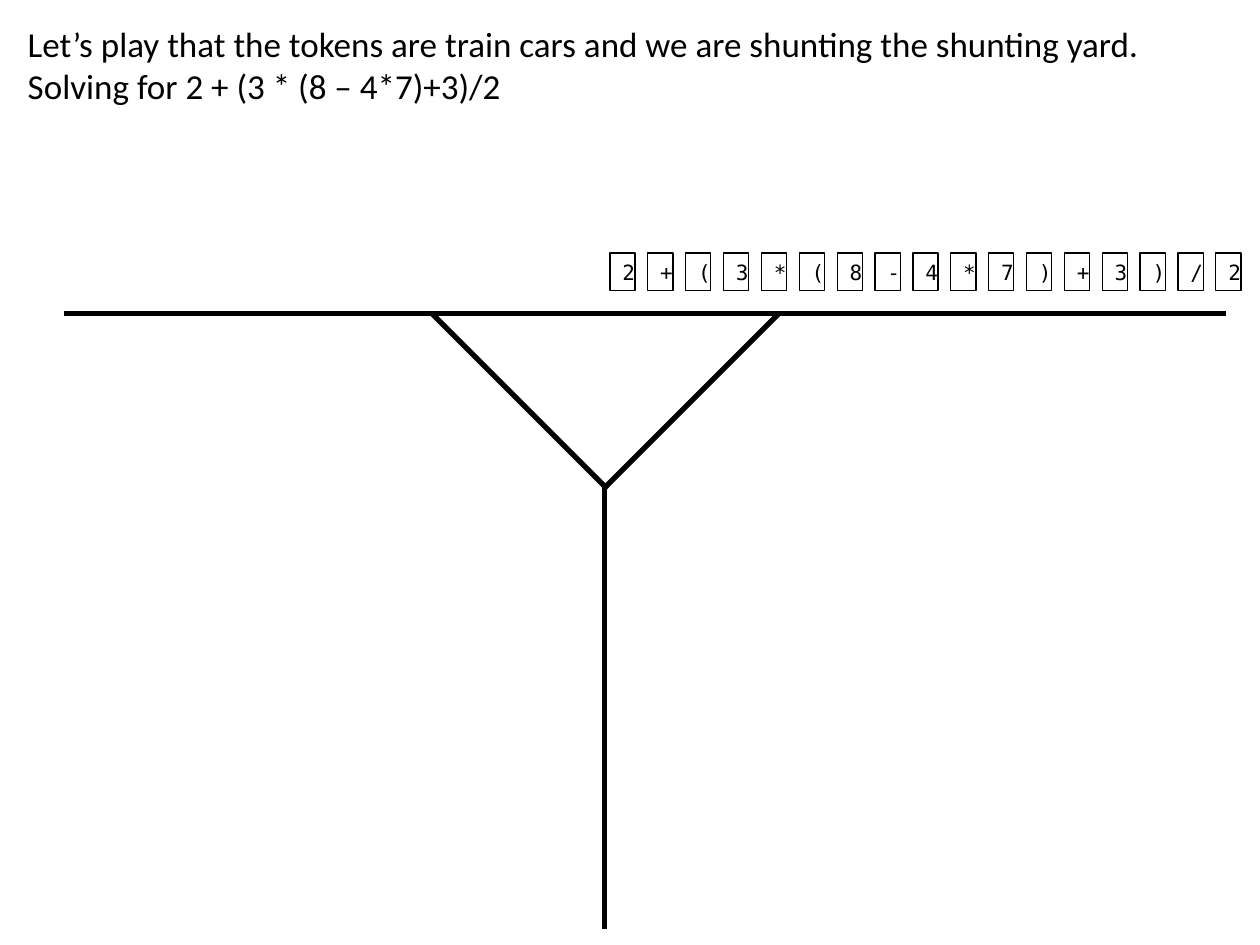
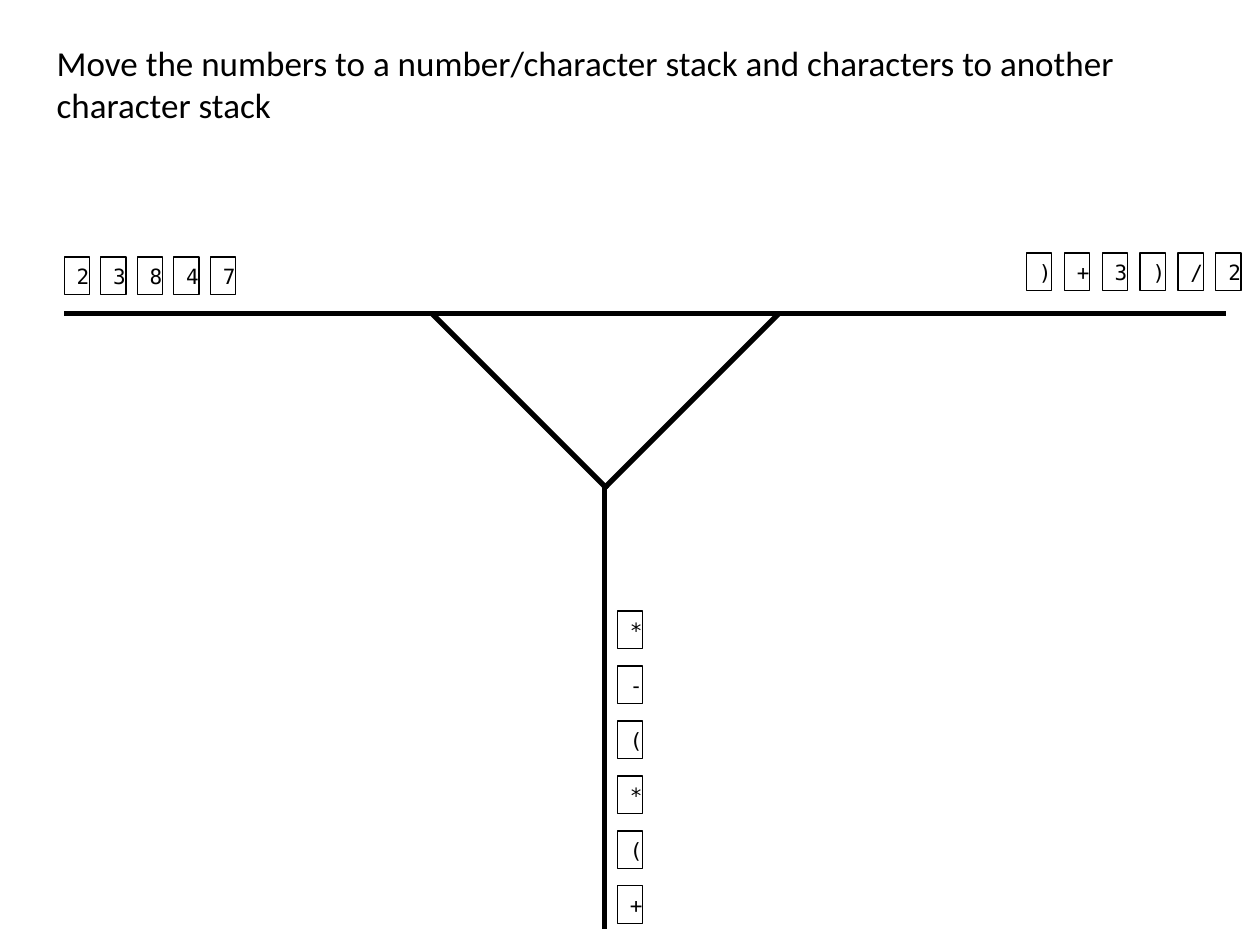
from lxml.etree import SubElement
from pptx import Presentation
from pptx.dml.color import RGBColor
from pptx.enum.shapes import MSO_CONNECTOR as Connector, MSO_SHAPE as Preset
from pptx.enum.text import MSO_ANCHOR as Anchor, MSO_AUTO_SIZE as AutoSize, PP_ALIGN as Align
from pptx.oxml.ns import qn
from pptx.util import Pt

SLIDES = [
    {
        "title": "Let’s play that the tokens are train cars and we are shunting "
                 "the shunting yard. Solving for 2 + (3 * (8 – 4*7)+3)/2",
        "title_box": (8.64, 9.36, 693.36, 55.44),
        "incoming": "2+(3*(8-4*7)+3)/2",
        "numbers": "",
        "operators": "",
    },
    {
        "title": "Move the numbers to a number/character stack and characters "
                 "to another character stack",
        "title_box": (25.2, 20.16, 668.88, 55.44),
        "incoming": ")+3)/2",
        "numbers": "23847",
        "operators": "+(*(-*",
    },
]

COLORS = {"ink": "000000", "background": "FFFFFF"}
FONTS = {"title": "Calibri", "token": "DejaVu Sans Mono"}

TRACKS = [
    (700.56, 179.28, 36.72, 179.28),
    (246.96, 179.28, 347.04, 279.36),
    (444.96, 179.28, 344.88, 279.36),
    (345.6, 275.76, 345.6, 530.64),
]

CAR_WIDTH, CAR_HEIGHT = 14.4, 21.6
INCOMING_END, INCOMING_TOP, INCOMING_STEP = 694.8, 144.6, 21.64
NUMBERS_LEFT, NUMBERS_TOP, NUMBERS_STEP = 36.72, 146.88, 20.88
OPERATORS_LEFT, OPERATORS_BOTTOM, OPERATORS_STEP = 352.8, 506.2, 31.4


def color(name):
    return RGBColor.from_string(COLORS[name])


def style_text(shape, font_name, size, alignment):
    frame = shape.text_frame
    frame.word_wrap = True
    frame.auto_size = AutoSize.SHAPE_TO_FIT_TEXT
    frame.vertical_anchor = Anchor.TOP
    frame.margin_left = frame.margin_right = Pt(7.2)
    frame.margin_top = frame.margin_bottom = Pt(3.6)
    for paragraph in frame.paragraphs:
        paragraph.alignment = alignment
        for run in paragraph.runs:
            run.font.name = font_name
            run.font.size = Pt(size)
            run.font.color.rgb = color("ink")


def add_title(slide, text, box):
    title = slide.shapes.title
    title.left, title.top, title.width, title.height = map(Pt, box)
    title.text_frame.text = text
    style_text(title, FONTS["title"], 20, Align.LEFT)


def add_track(slide, ends):
    track = slide.shapes.add_connector(Connector.STRAIGHT, *map(Pt, ends))
    track.line.color.rgb = color("ink")
    track.line.width = Pt(3)
    SubElement(track._element.spPr, qn("a:effectLst"))


def add_car(slide, token, left, top):
    box = map(Pt, (left, top, CAR_WIDTH, CAR_HEIGHT))
    car = slide.shapes.add_shape(Preset.RECTANGLE, *box)
    car.shadow.inherit = False
    car.fill.background()
    car.line.color.rgb = color("ink")
    car.line.width = Pt(0.75)
    car.text_frame.text = token
    style_text(car, FONTS["token"], 12, Align.CENTER)


def add_yard(slide, content):
    for ends in TRACKS:
        add_track(slide, ends)
    for index, token in enumerate(reversed(content["incoming"])):
        add_car(slide, token, INCOMING_END - index * INCOMING_STEP, INCOMING_TOP)
    for index, token in enumerate(content["numbers"]):
        add_car(slide, token, NUMBERS_LEFT + index * NUMBERS_STEP, NUMBERS_TOP)
    for index, token in enumerate(content["operators"]):
        add_car(slide, token, OPERATORS_LEFT, OPERATORS_BOTTOM - index * OPERATORS_STEP)


def main():
    presentation = Presentation()
    presentation.slide_width, presentation.slide_height = Pt(720), Pt(540)
    background = presentation.slide_master.background.fill
    background.solid()
    background.fore_color.rgb = color("background")
    title_only = presentation.slide_layouts.get_by_name("Title Only")
    for content in SLIDES:
        slide = presentation.slides.add_slide(title_only)
        add_title(slide, content["title"], content["title_box"])
        add_yard(slide, content)
    presentation.save("out.pptx")


if __name__ == "__main__":
    main()
